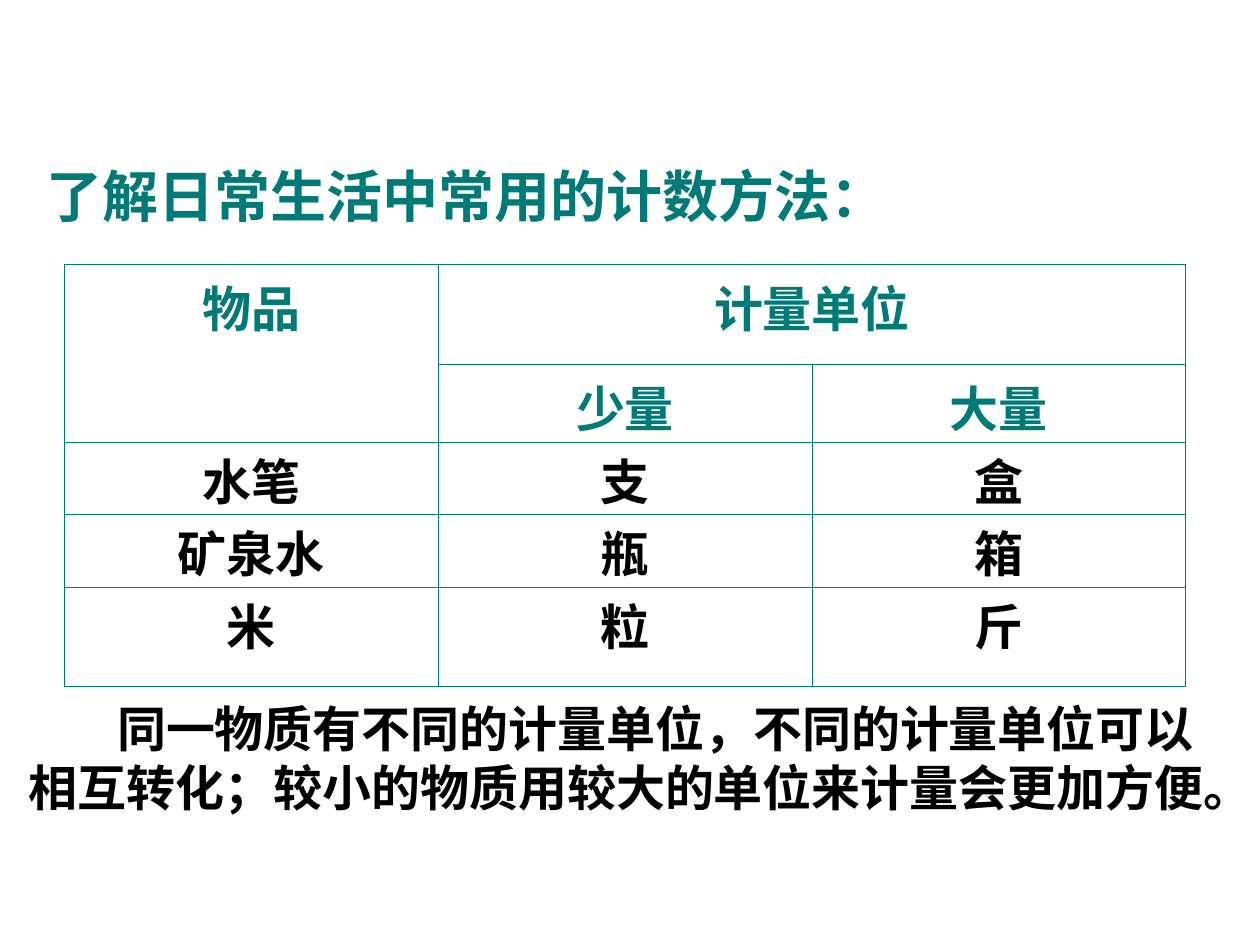
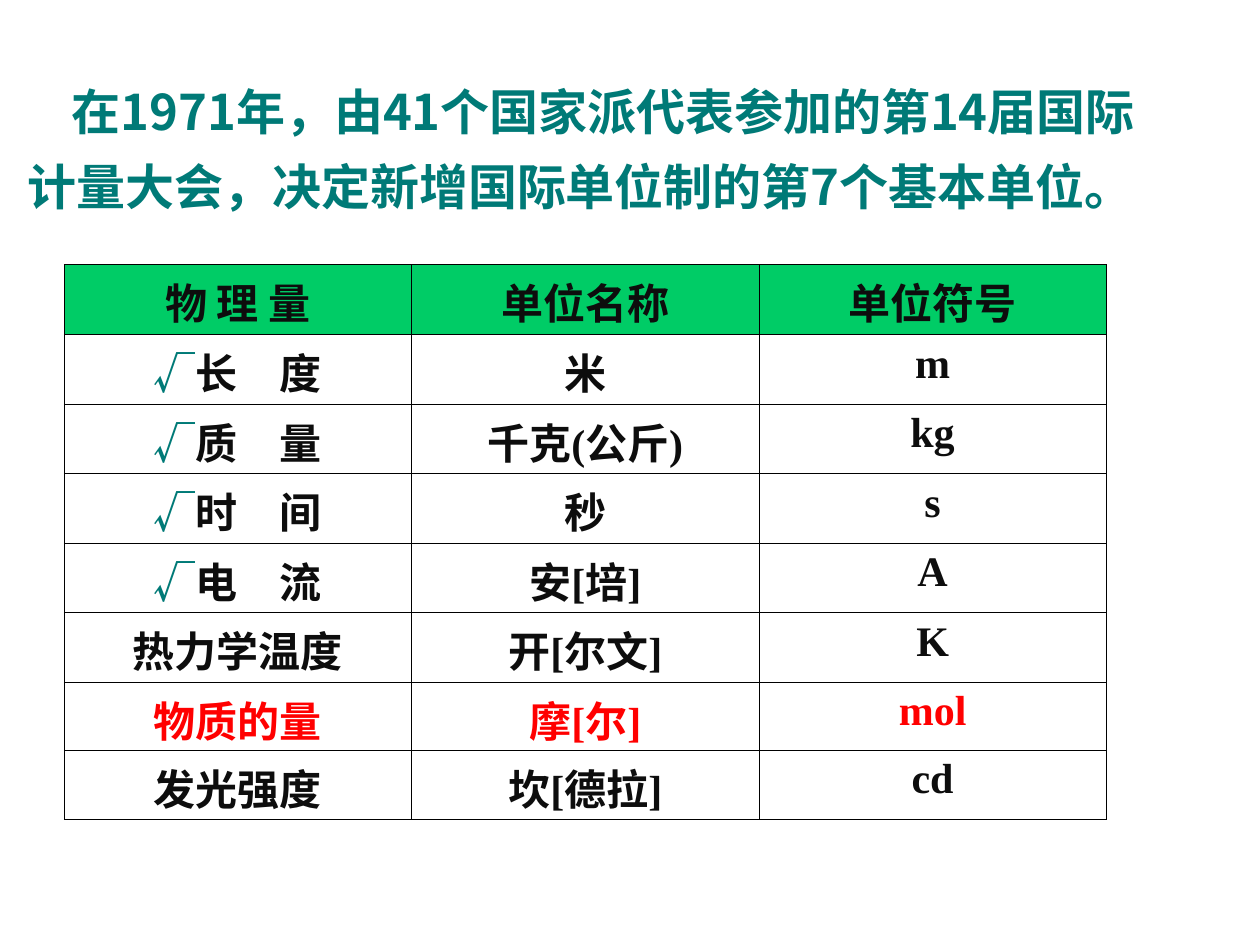
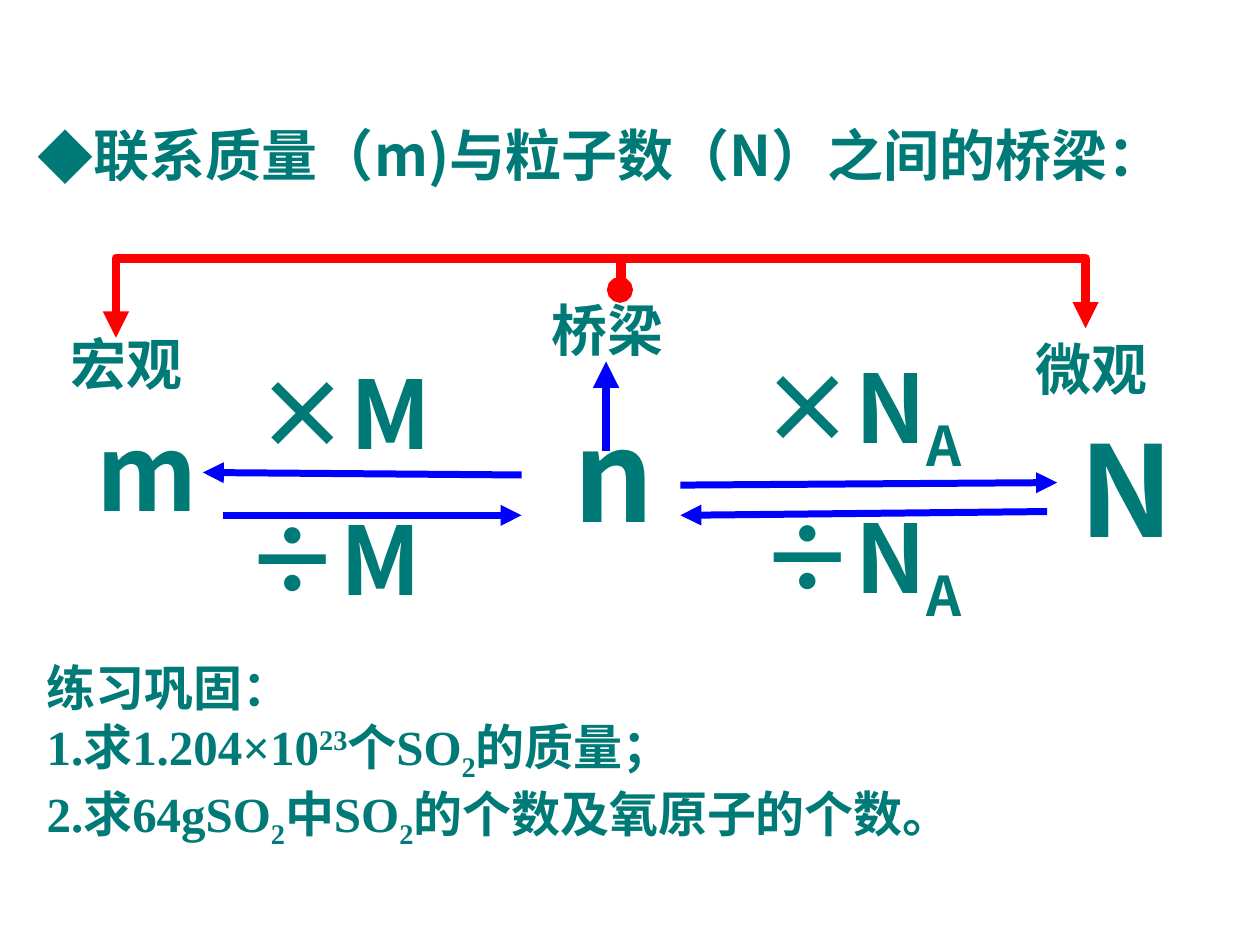
from dataclasses import dataclass
from typing import Optional

from lxml.etree import SubElement
from pptx import Presentation
from pptx.dml.color import RGBColor
from pptx.enum.shapes import MSO_CONNECTOR
from pptx.enum.text import MSO_ANCHOR, MSO_AUTO_SIZE, PP_ALIGN
from pptx.oxml.ns import qn
from pptx.util import Emu, Inches, Pt

TEAL = RGBColor(0x00, 0x7A, 0x77)
BLACK = RGBColor(0x00, 0x00, 0x00)
INK = RGBColor(0x0D, 0x0D, 0x0D)
GREEN = RGBColor(0x00, 0xCC, 0x66)
RED = RGBColor(0xFF, 0x00, 0x00)
BLUE = RGBColor(0x00, 0x00, 0xFF)
HEITI = "Noto Sans CJK SC"
ARIAL = "Arial"
TIMES = "Times New Roman"
SLIDE_WIDTH, SLIDE_HEIGHT = Inches(10), Inches(7.5)
COLUMN, ROW = SLIDE_WIDTH / 100, SLIDE_HEIGHT / 75
TABLE_LEFT, TABLE_TOP = 5.1, 21
SUB, SUPER = -25000, 30000


@dataclass(frozen=True)
class Style:
    """Look of a run of text."""
    size: float
    font: str
    color: RGBColor = TEAL


@dataclass(frozen=True)
class Piece:
    """Words with an optional look and baseline shift of their own."""
    text: str
    style: Optional[Style] = None
    baseline: int = 0


@dataclass(frozen=True)
class Box:
    """Place and size in grid columns and rows."""
    left: float
    top: float
    width: float
    height: float

    def emu(self) -> tuple[Emu, ...]:
        """Return left, top, width and height as lengths."""
        return (Emu(int(self.left * COLUMN)), Emu(int(self.top * ROW)),
                Emu(int(self.width * COLUMN)), Emu(int(self.height * ROW)))


@dataclass(frozen=True)
class Label:
    """Text standing in the diagram."""
    box: Box
    pieces: list[Piece]
    style: Style
    align: PP_ALIGN = PP_ALIGN.LEFT


@dataclass(frozen=True)
class Arrow:
    """Straight arrow between two grid points."""
    start: tuple[float, float]
    end: tuple[float, float]
    weight: float = 4


@dataclass(frozen=True)
class Bracket:
    """Turned elbow arrow from the bridge to one side."""
    box: Box
    turn: int
    flip: bool
    bend: int
    head: Optional[str] = None


HEADING = Style(32, HEITI)
STATEMENT = Style(28, HEITI)
ROLE = Style(32, ARIAL)
FACTOR = Style(54, HEITI)
QUANTITY = Style(72, HEITI)
UNIT = Style(24, TIMES, INK)
TICK = Piece("√", Style(24, ARIAL))


def write_paragraph(paragraph, pieces: list[Piece], style: Style,
                    align=PP_ALIGN.LEFT, margin=0.0, indent=0.0, bullet="", after=0.0) -> None:
    """Fill a paragraph run by run and set its layout."""
    properties = paragraph._p.get_or_add_pPr()
    properties.set("marL", str(Inches(margin)))
    properties.set("indent", str(Inches(indent)))
    paragraph.alignment = align
    paragraph.space_before = Pt(0)
    paragraph.space_after = Pt(after)
    if bullet:
        marker_color = SubElement(SubElement(properties, qn("a:buClr")), qn("a:srgbClr"))
        marker_color.set("val", str(style.color))
        SubElement(properties, qn("a:buFont")).set("typeface", style.font)
        SubElement(properties, qn("a:buChar")).set("char", bullet)
    else:
        SubElement(properties, qn("a:buNone"))
    for piece in pieces:
        look = piece.style or style
        run = paragraph.add_run()
        run.text = piece.text
        run.font.size = Pt(look.size)
        run.font.name = look.font
        run.font.bold = True
        run.font.color.rgb = look.color
        if piece.baseline:
            run._r.get_or_add_rPr().set("baseline", str(piece.baseline))


def prepare(shape, box: Box, anchor=MSO_ANCHOR.TOP, wrap=True):
    """Place a text shape and return its text frame."""
    shape.left, shape.top, shape.width, shape.height = box.emu()
    frame = shape.text_frame
    frame.auto_size = MSO_AUTO_SIZE.NONE
    frame.word_wrap = wrap
    frame.vertical_anchor = anchor
    return frame


def write_lines(frame, lines: list[list[Piece]], style: Style,
                first_indent=0.0, after=0.0) -> None:
    """Write left-aligned paragraphs, the first one indented."""
    for number, pieces in enumerate(lines):
        paragraph = frame.add_paragraph() if number else frame.paragraphs[0]
        write_paragraph(paragraph, pieces, style, after=after,
                        indent=0 if number else first_indent)


def add_grid(slide, widths: list[float], heights: list[float], border: RGBColor):
    """Add a plain table with thin borders and return it."""
    box = Box(TABLE_LEFT, TABLE_TOP, sum(widths), sum(heights))
    table = slide.shapes.add_table(len(heights), len(widths), *box.emu()).table
    table.first_row = table.horz_banding = False
    for column, width in zip(table.columns, widths):
        column.width = Emu(int(width * COLUMN))
    for row, height in zip(table.rows, heights):
        row.height = Emu(int(height * ROW))
    for cell in table.iter_cells():
        cell.margin_bottom = 0
        properties = cell._tc.get_or_add_tcPr()
        for side in ("lnL", "lnR", "lnT", "lnB"):
            edge = SubElement(properties, qn(f"a:{side}"), w=str(Pt(0.45)))
            SubElement(SubElement(edge, qn("a:solidFill")), qn("a:srgbClr"), val=str(border))
        cell.fill.background()
    return table


def write_cell(cell, pieces: list[Piece], style: Style, spacing=1.0) -> None:
    """Write centred text in a table cell."""
    paragraph = cell.text_frame.paragraphs[0]
    paragraph.line_spacing = spacing
    write_paragraph(paragraph, pieces, style, PP_ALIGN.CENTER)


def add_line(slide, kind, start, end, color: RGBColor, weight: float, head=None):
    """Add an arrow without shadow and return it."""
    points = [Emu(int(value * step)) for point in (start, end)
              for value, step in zip(point, (COLUMN, ROW))]
    connector = slide.shapes.add_connector(kind, *points)
    connector.line.color.rgb = color
    connector.line.width = Pt(weight)
    line = connector.line._get_or_add_ln()
    if head:
        SubElement(line, qn("a:headEnd"), type=head)
    SubElement(line, qn("a:tailEnd"), type="triangle")
    SubElement(connector._element.spPr, qn("a:effectLst"))
    return connector


def add_bracket(slide, bracket: Bracket) -> None:
    """Add an elbow arrow with its turn and bend."""
    box = bracket.box
    connector = add_line(slide, MSO_CONNECTOR.ELBOW, (box.left, box.top),
                         (box.left + box.width, box.top + box.height), RED, 5, bracket.head)
    properties = connector._element.spPr
    transform = properties.find(qn("a:xfrm"))
    transform.set("rot", str(bracket.turn * 60000))
    if bracket.flip:
        transform.set("flipH", "1")
    geometry = properties.find(qn("a:prstGeom"))
    guides = geometry.find(qn("a:avLst"))
    if guides is None:
        guides = SubElement(geometry, qn("a:avLst"))
    SubElement(guides, qn("a:gd"), name="adj1", fmla=f"val {bracket.bend}")


def build_counting(deck) -> None:
    """Build the slide on everyday counting units."""
    slide = deck.slides.add_slide(deck.slide_layouts[1])
    heading = prepare(slide.shapes.title, Box(2.7, 12.3, 81.9, 6.4))
    write_lines(heading, [[Piece("了解日常生活中常用的计数方法：")]], HEADING)
    rows = [("物品", "计量单位", ""), ("", "少量", "大量"), ("水笔", "支", "盒"),
            ("矿泉水", "瓶", "箱"), ("米", "粒", "斤")]
    table = add_grid(slide, [29.67] * 3, [7.9, 6.2, 5.7, 5.8, 7.9], TEAL)
    table.cell(0, 0).merge(table.cell(1, 0))
    table.cell(0, 1).merge(table.cell(0, 2))
    for row, words in enumerate(rows):
        color, spacing = (TEAL, 1.0) if row < 2 else (BLACK, 0.92)
        for column, word in enumerate(words):
            if word:
                write_cell(table.cell(row, column), [Piece(word)],
                           Style(28, ARIAL, color), spacing)
    summary = prepare(slide.placeholders[1], Box(1.3, 54.9, 99.1, 10.4),
                      MSO_ANCHOR.MIDDLE, wrap=False)
    write_lines(summary, [[Piece("同一物质有不同的计量单位，不同的计量单位可以")],
                          [Piece("相互转化；较小的物质用较大的单位来计量会更加方便。")]],
                Style(28, TIMES, BLACK), first_indent=0.7)


def build_base_units(deck) -> None:
    """Build the slide on the seven base units."""
    slide = deck.slides.add_slide(deck.slide_layouts[5])
    statement = prepare(slide.shapes.title, Box(1.2, 6, 100, 11.6))
    write_lines(statement, [[Piece("在1971年，由41个国家派代表参加的第14届国际")],
                            [Piece("计量大会，决定新增国际单位制的第7个基本单位。")]],
                STATEMENT, first_indent=0.35, after=8.8)
    rows = [("物 理 量", "单位名称", "单位符号"), ("长　度", "米", "m"),
            ("质　量", "千克(公斤)", "kg"), ("时　间", "秒", "s"), ("电　流", "安[培]", "A"),
            ("热力学温度", "开[尔文]", "K"), ("物质的量", "摩[尔]", "mol"),
            ("发光强度", "坎[德拉]", "cd")]
    known, highlighted = range(1, 5), 6
    table = add_grid(slide, [27.57] * 3, [5.55] + [5.52] * 5 + [5.4, 5.52], BLACK)
    for row, words in enumerate(rows):
        style = Style(24, TIMES, RED) if row == highlighted else UNIT
        for column, word in enumerate(words):
            cell = table.cell(row, column)
            ticks = [TICK] if row in known and column == 0 else []
            write_cell(cell, [*ticks, Piece(word)], style)
            if row == 0:
                cell.fill.solid()
                cell.fill.fore_color.rgb = GREEN


def build_bridge(deck) -> None:
    """Build the slide linking mass, amount and particle number."""
    slide = deck.slides.add_slide(deck.slide_layouts[1])
    avogadro = Piece("A", baseline=SUB)
    two = Piece("2", baseline=SUB)
    labels = [
        Label(Box(84.7, 32.2, 10.2, 13), [Piece("N")], QUANTITY),
        Label(Box(44.5, 31, 8.6, 13), [Piece("n")], QUANTITY),
        Label(Box(6.7, 31.8, 10, 11), [Piece("m")], Style(60, HEITI)),
        Label(Box(59.4, 39.1, 24.4, 11.3), [Piece("÷N"), avogadro], FACTOR),
        Label(Box(19.3, 27.7, 24.4, 10), [Piece("×M")], FACTOR),
        Label(Box(59.4, 27.2, 27.6, 11.3), [Piece("×N"), avogadro], FACTOR),
        Label(Box(18.5, 39.3, 18.1, 10), [Piece("÷M")], FACTOR),
        Label(Box(2, 25.7, 16.1, 6.4), [Piece("宏观")], ROLE, PP_ALIGN.CENTER),
        Label(Box(78.5, 26.1, 16.2, 6.4), [Piece("微观")], ROLE, PP_ALIGN.CENTER),
        Label(Box(42.8, 23, 19.9, 6.4), [Piece("桥梁")], ROLE),
    ]
    arrows = [
        Arrow((17.7, 40.9), (41.4, 40.9)), Arrow((41.4, 37.7), (16.1, 37.5)),
        Arrow((83.1, 40.6), (54, 40.9)), Arrow((54, 38.5), (83.9, 38.3)),
        Arrow((48.1, 35.8), (48.1, 28.7), 5),
    ]
    brackets = [
        Bracket(Box(66.2, 6.1, 3.1, 36.8), 270, True, -79500),
        Bracket(Box(27.3, 4.9, 3.8, 40), 90, False, -66000, "oval"),
    ]
    for label in labels:
        frame = prepare(slide.shapes.add_textbox(*label.box.emu()), label.box)
        write_paragraph(frame.paragraphs[0], label.pieces, label.style, label.align)
    for arrow in arrows:
        add_line(slide, MSO_CONNECTOR.STRAIGHT, arrow.start, arrow.end, BLUE, arrow.weight)
    for bracket in brackets:
        add_bracket(slide, bracket)
    heading = prepare(slide.shapes.title, Box(2, 9.1, 92.1, 6.4))
    write_paragraph(heading.paragraphs[0], [Piece("联系质量（m)与粒子数（N）之间的桥梁：")],
                    HEADING, margin=0.23, indent=-0.23, bullet="◆")
    exercises = prepare(slide.placeholders[1], Box(2.7, 51.7, 93.3, 16.3))
    write_lines(exercises, [
        [Piece("练习巩固：")],
        [Piece("1.求1.204×10"), Piece("23", baseline=SUPER), Piece("个SO"), two, Piece("的质量；")],
        [Piece("2.求64gSO"), two, Piece("中SO"), two, Piece("的个数及氧原子的个数。")],
    ], Style(28, TIMES))


def main() -> None:
    """Build the deck and save it."""
    deck = Presentation()
    deck.slide_width, deck.slide_height = SLIDE_WIDTH, SLIDE_HEIGHT
    build_counting(deck)
    build_base_units(deck)
    build_bridge(deck)
    deck.save("out.pptx")


if __name__ == "__main__":
    main()
